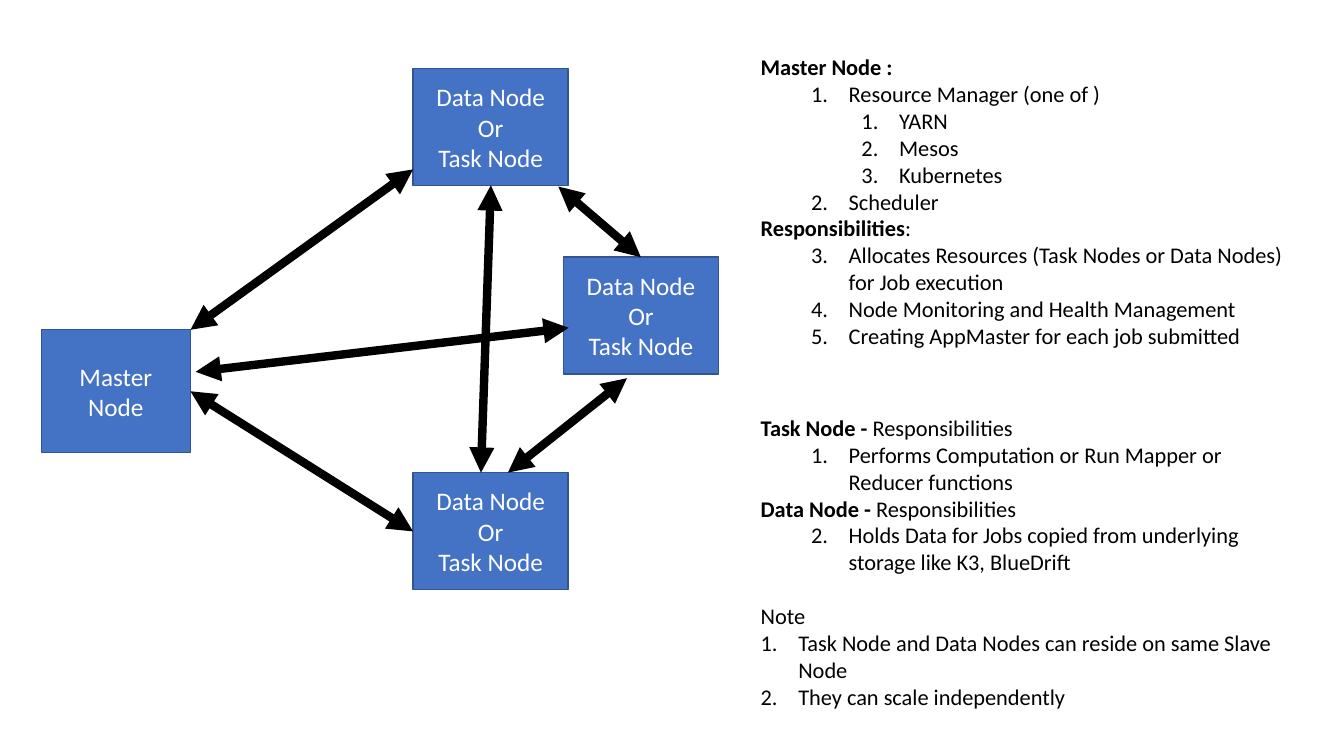
from dataclasses import dataclass

from lxml import etree
from pptx import Presentation
from pptx.dml.color import RGBColor
from pptx.enum.shapes import MSO_CONNECTOR, MSO_SHAPE
from pptx.enum.text import MSO_ANCHOR, MSO_AUTO_SIZE, PP_ALIGN
from pptx.oxml.ns import qn
from pptx.util import Cm, Pt

RECTANGLE = MSO_SHAPE.RECTANGLE
STRAIGHT = MSO_CONNECTOR.STRAIGHT
MIDDLE = MSO_ANCHOR.MIDDLE
CENTER = PP_ALIGN.CENTER
GROW = MSO_AUTO_SIZE.SHAPE_TO_FIT_TEXT


@dataclass(frozen=True)
class Theme:
    font: str = "Calibri"
    node_size: Pt = Pt(18)
    duty_size: Pt = Pt(16)
    section_gap: Pt = Pt(19.5)
    node_fill: RGBColor = RGBColor(0x44, 0x72, 0xC4)
    node_border: RGBColor = RGBColor(0x32, 0x54, 0x91)
    node_text: RGBColor = RGBColor(0xFF, 0xFF, 0xFF)
    ink: RGBColor = RGBColor(0x00, 0x00, 0x00)


theme = Theme()


def add_run(paragraph, text, size, color, bold=False):
    run = paragraph.add_run()
    run.text = text
    run.font.name = theme.font
    run.font.size = size
    run.font.color.rgb = color
    run.font.bold = bold


def number_paragraph(paragraph, level):
    paragraph.level = level
    properties = paragraph._p.get_or_add_pPr()
    properties.set("marL", str(Cm(0.95 + 1.27 * level)))
    properties.set("indent", str(-Cm(0.95)))
    etree.SubElement(properties, qn("a:buFont"), typeface="+mj-lt")
    etree.SubElement(properties, qn("a:buAutoNum"), type="arabicPeriod")


deck = Presentation()
deck.slide_width = Cm(33.87)
deck.slide_height = Cm(19.05)
slide = deck.slides.add_slide(deck.slide_layouts[6])

worker_lines = ["Data Node", "Or", "Task Node"]
worker_size = (3.91, 2.95)
nodes = [
    ((1.04, 8.31), (3.76, 3.1), ["Master", "Node"]),
    ((10.41, 1.73), worker_size, worker_lines),
    ((14.2, 6.48), worker_size, worker_lines),
    ((10.41, 11.91), worker_size, worker_lines),
]
for (left, top), (width, height), lines in nodes:
    node = slide.shapes.add_shape(RECTANGLE, Cm(left), Cm(top), Cm(width), Cm(height))
    node.shadow.inherit = False
    node.fill.solid()
    node.fill.fore_color.rgb = theme.node_fill
    node.line.color.rgb = theme.node_border
    node.line.width = Pt(1)
    label = node.text_frame
    label.word_wrap = True
    label.vertical_anchor = MIDDLE
    for index, line in enumerate(lines):
        paragraph = label.add_paragraph() if index else label.paragraphs[0]
        paragraph.alignment = CENTER
        add_run(paragraph, line, theme.node_size, theme.node_text)

links = [
    ((4.8, 8.31), (10.41, 4.27)),
    ((4.93, 9.37), (14.33, 8.26)),
    ((4.8, 9.86), (10.41, 13.39)),
    ((16.15, 6.48), (14.07, 4.7)),
    ((12.8, 11.91), (15.8, 9.53)),
    ((12.12, 11.91), (12.37, 4.67)),
]
for (start_x, start_y), (end_x, end_y) in links:
    link = slide.shapes.add_connector(
        STRAIGHT, Cm(start_x), Cm(start_y), Cm(end_x), Cm(end_y)
    )
    link.line.color.rgb = theme.ink
    link.line.width = Pt(6)
    properties = link._element.spPr
    outline = properties.find(qn("a:ln"))
    for arrow_end in ("a:headEnd", "a:tailEnd"):
        etree.SubElement(outline, qn(arrow_end), type="triangle")
    etree.SubElement(properties, qn("a:effectLst"))

master_duties = [
    (None, [("Master Node :", True)]),
    (1, [("Resource Manager (one of )", False)]),
    (2, [("YARN", False)]),
    (2, [("Mesos", False)]),
    (2, [("Kubernetes", False)]),
    (1, [("Scheduler", False)]),
    (None, [("Responsibilities", True), (":", False)]),
    (1, [("Allocates Resources (Task Nodes or Data Nodes) for Job execution", False)]),
    (1, [("Node Monitoring and Health Management", False)]),
    (1, [("Creating AppMaster for each job submitted", False)]),
]
worker_duties = [
    (None, [("Task Node - ", True), ("Responsibilities", False)]),
    (1, [("Performs Computation or Run Mapper or Reducer functions", False)]),
    (None, [("Data Node - ", True), ("Responsibilities", False)]),
    (1, [("Holds Data for Jobs copied from underlying storage like K3, BlueDrift", False)]),
    (None, [("Note", False)]),
    (0, [("Task Node and Data Nodes can reside on same Slave Node", False)]),
    (0, [("They can scale independently", False)]),
]
duty_blocks = [
    (1.22, 14.02, 7.77, master_duties),
    (10.31, 13.89, 8.46, worker_duties),
]
for top, width, height, duties in duty_blocks:
    block = slide.shapes.add_textbox(Cm(18.92), Cm(top), Cm(width), Cm(height))
    body = block.text_frame
    body.word_wrap = True
    body.auto_size = GROW
    for index, (level, pieces) in enumerate(duties):
        paragraph = body.add_paragraph() if index else body.paragraphs[0]
        if level is not None:
            number_paragraph(paragraph, level)
        if pieces[0][0] == "Note":
            paragraph.space_before = theme.section_gap
        for text, bold in pieces:
            add_run(paragraph, text, theme.duty_size, theme.ink, bold)

deck.save("out.pptx")
